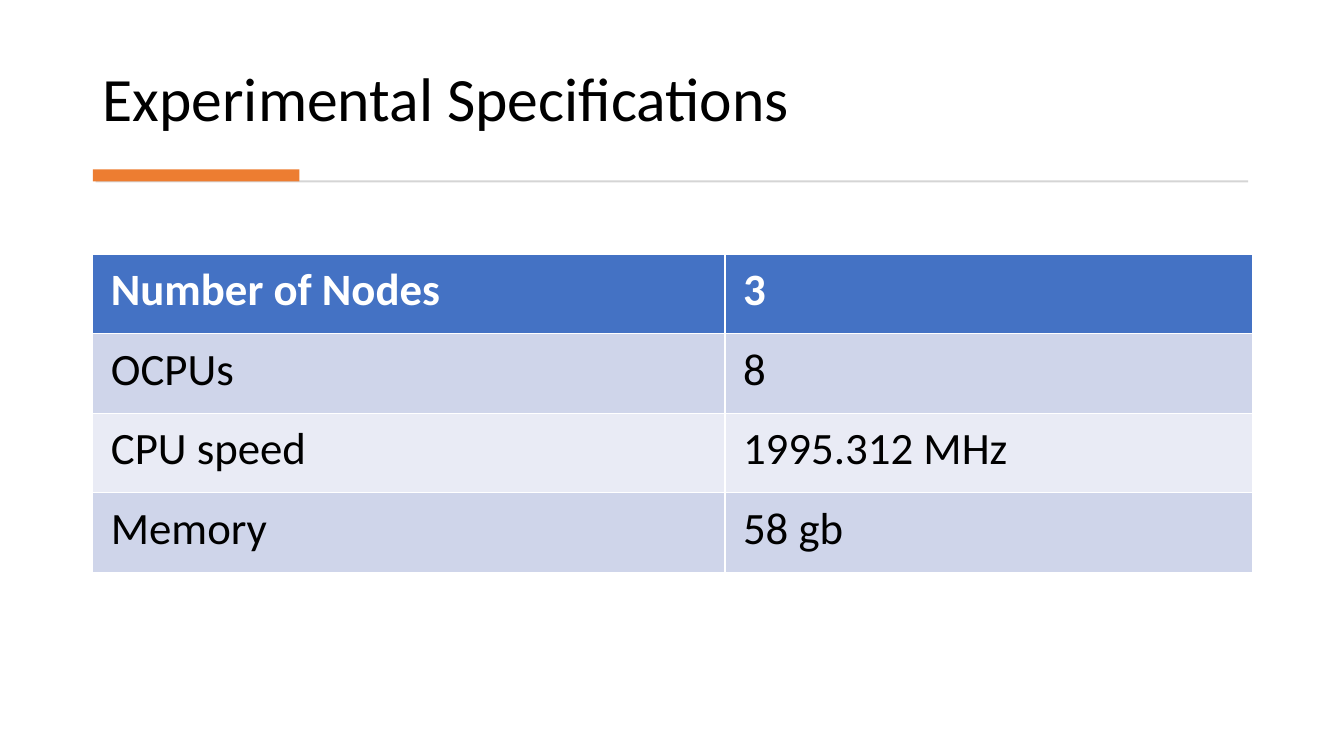
from pptx import Presentation
from pptx.dml.color import RGBColor
from pptx.enum.shapes import MSO_SHAPE
from pptx.enum.text import MSO_ANCHOR, MSO_AUTO_SIZE, PP_ALIGN
from pptx.util import Inches, Pt

BLACK = RGBColor(0x00, 0x00, 0x00)
WHITE = RGBColor(0xFF, 0xFF, 0xFF)
GREY = RGBColor(0xD5, 0xD5, 0xD5)
ORANGE = RGBColor(0xED, 0x7D, 0x31)
BLUE = RGBColor(0x44, 0x72, 0xC4)
BANDS = [RGBColor(0xE9, 0xEB, 0xF5), RGBColor(0xCF, 0xD5, 0xEA)]

LEFT = Inches(0.92)
WIDTHS = [Inches(6.27), Inches(5.23)]
HIGH = Inches(0.79)
ROWS = [
    ("Number of Nodes", "3"),
    ("OCPUs", "8"),
    ("CPU speed", "1995.312 MHz"),
    ("Memory", "58 gb"),
]


def style(font, size, color, bold=False):
    font.color.rgb = color
    look = {"name": "Calibri", "size": Pt(size), "bold": bold}
    for key, value in look.items():
        setattr(font, key, value)


deck = Presentation()
deck.slide_width, deck.slide_height = Inches(13.33), Inches(7.5)
slide = deck.slides.add_slide(deck.slide_layouts[5])

# Title
title = slide.shapes.title
place = {"left": LEFT, "top": Inches(0.28),
         "width": Inches(11.49), "height": Inches(1.11)}
for key, value in place.items():
    setattr(title, key, value)
frame = title.text_frame
frame.text = "Experimental Specifications"
frame.auto_size = MSO_AUTO_SIZE.NONE
frame.vertical_anchor = MSO_ANCHOR.BOTTOM
head = frame.paragraphs[0]
head.alignment = PP_ALIGN.LEFT
head.line_spacing = 0.9
style(head.font, 44, BLACK)

# Rule under the title, with its accent bar
for box, color in [((0.95, 1.79, 11.43, 0.02), GREY),
                   ((0.92, 1.68, 2.05, 0.12), ORANGE)]:
    bar = slide.shapes.add_shape(MSO_SHAPE.RECTANGLE, *map(Inches, box))
    bar.shadow.inherit = False
    bar.fill.solid()
    bar.fill.fore_color.rgb = color
    bar.line.fill.background()

# Table of specifications
table = slide.shapes.add_table(len(ROWS), len(WIDTHS), LEFT, Inches(2.52),
                               sum(WIDTHS), HIGH * len(ROWS)).table
for col, width in zip(table.columns, WIDTHS):
    col.width = width
pads = {"margin_left": Inches(0.18), "margin_right": Inches(0.18),
        "margin_top": Inches(0.09), "margin_bottom": Inches(0.09)}
for r, row in enumerate(ROWS):
    table.rows[r].height = HIGH
    for c, text in enumerate(row):
        cell = table.cell(r, c)
        cell.text = text
        for key, value in pads.items():
            setattr(cell, key, value)
        cell.fill.solid()
        cell.fill.fore_color.rgb = BANDS[r % 2] if r else BLUE
        style(cell.text_frame.paragraphs[0].runs[0].font, 32,
              BLACK if r else WHITE, r == 0)

deck.save("out.pptx")
